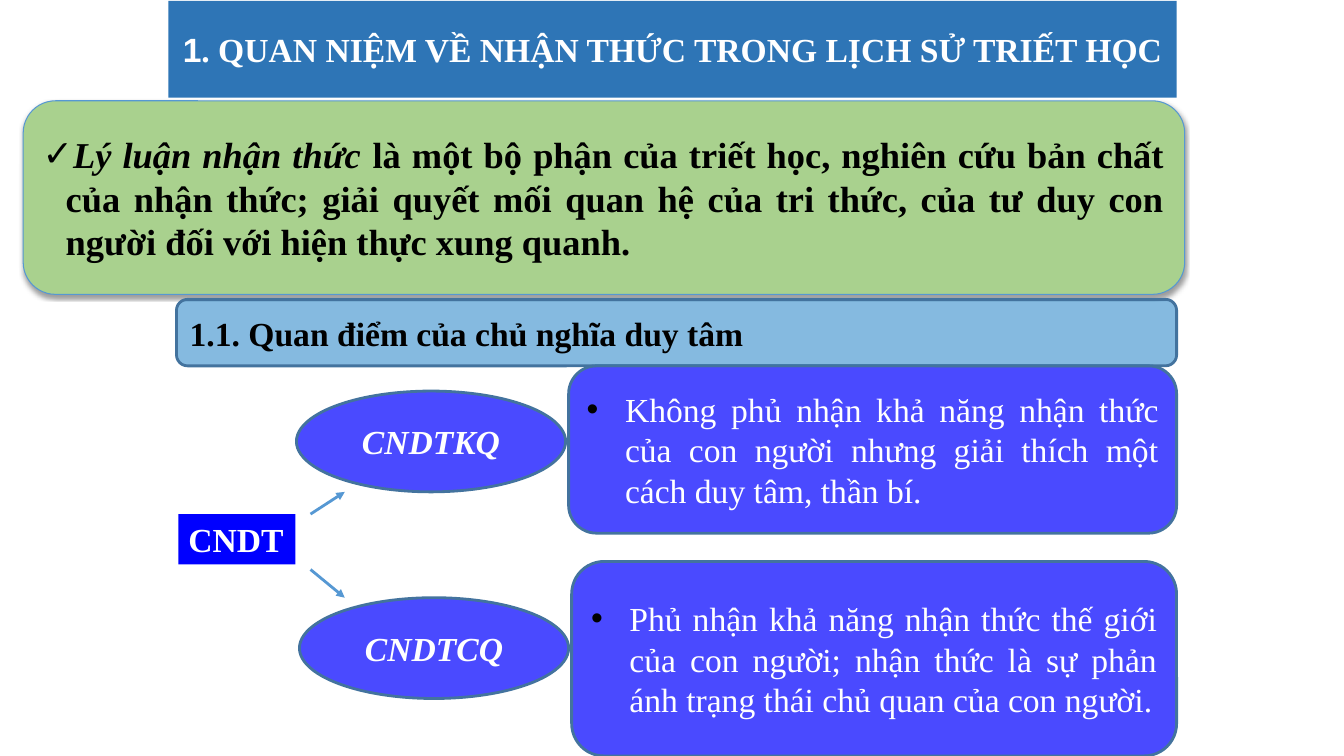
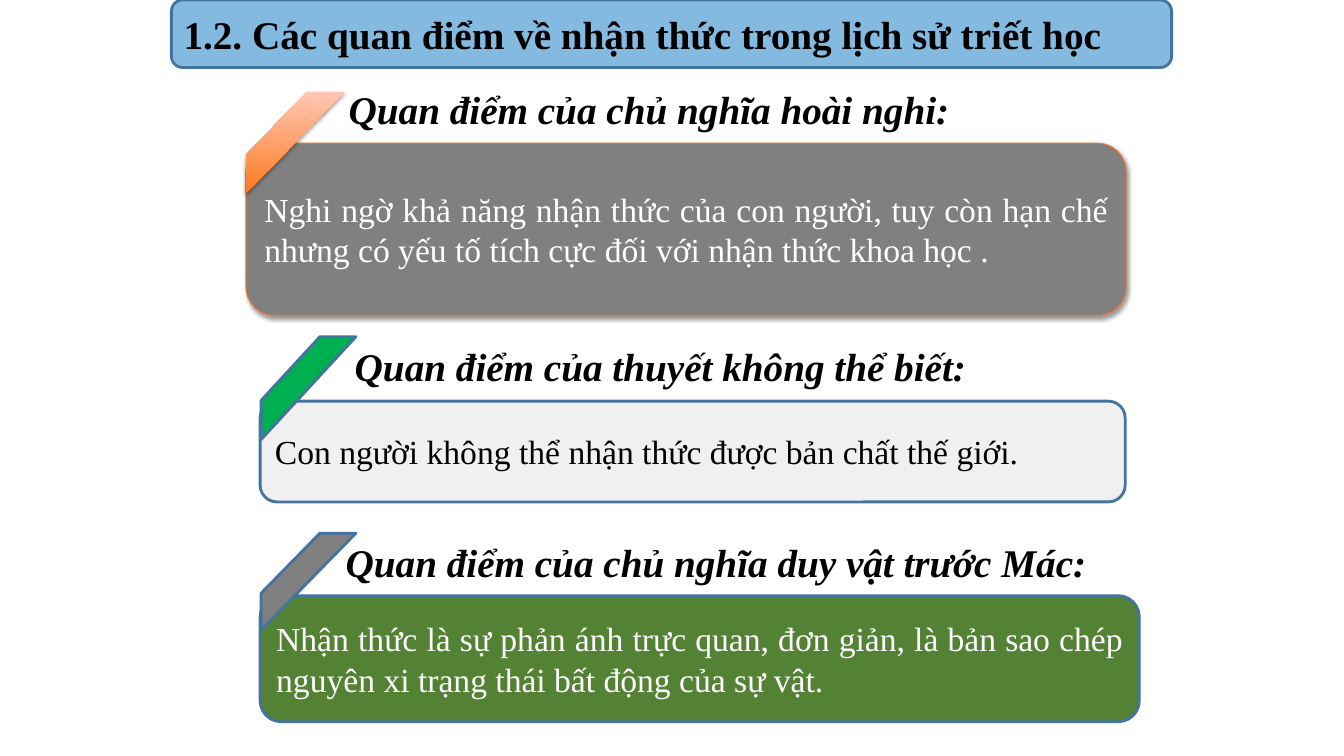
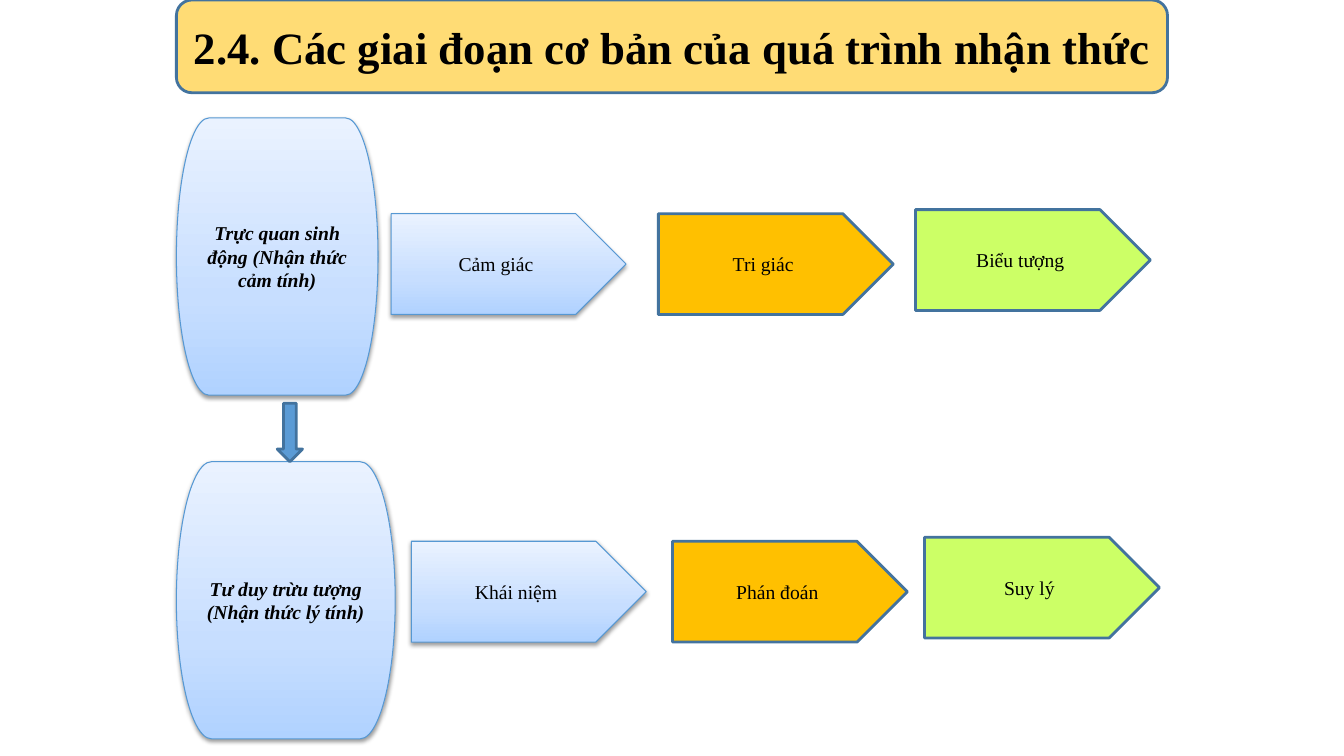
from lxml import etree
from pptx import Presentation
from pptx.dml.color import RGBColor
from pptx.enum.shapes import MSO_CONNECTOR, MSO_SHAPE
from pptx.enum.text import MSO_ANCHOR, MSO_AUTO_SIZE, PP_ALIGN
from pptx.oxml.ns import qn
from pptx.util import Inches, Pt

RECTANGLE = MSO_SHAPE.RECTANGLE
ROUNDED = MSO_SHAPE.ROUNDED_RECTANGLE
ELLIPSE = MSO_SHAPE.OVAL
STRIPE = MSO_SHAPE.DIAGONAL_STRIPE
TERMINATOR = MSO_SHAPE.FLOWCHART_TERMINATOR
PENTAGON = MSO_SHAPE.PENTAGON
DOWN_ARROW = MSO_SHAPE.DOWN_ARROW
STRAIGHT = MSO_CONNECTOR.STRAIGHT
MIDDLE = MSO_ANCHOR.MIDDLE
NO_AUTOFIT = MSO_AUTO_SIZE.NONE
LEFT, CENTER, JUSTIFY = PP_ALIGN.LEFT, PP_ALIGN.CENTER, PP_ALIGN.JUSTIFY

BLACK = RGBColor(0x00, 0x00, 0x00)
WHITE = RGBColor(0xFF, 0xFF, 0xFF)
BLUE = RGBColor(0x00, 0x00, 0xFF)
BANNER_BLUE = RGBColor(0x2E, 0x75, 0xB6)
SKY = RGBColor(0x00, 0x70, 0xC0)
SAND = RGBColor(0xFF, 0xD9, 0x66)
OUTLINE = RGBColor(0x43, 0x73, 0x9E)
THIN_BLUE = RGBColor(0x56, 0x98, 0xD3)
ARROW_BLUE = RGBColor(0x5B, 0x9B, 0xD5)
LIGHT_GREEN = RGBColor(0xA9, 0xD1, 0x8E)
DARK_GREEN = RGBColor(0x54, 0x82, 0x35)
GREEN = RGBColor(0x00, 0xB0, 0x50)
LIME = RGBColor(0xCC, 0xFF, 0x66)
GRAY = RGBColor(0x80, 0x80, 0x80)
PALE_GRAY = RGBColor(0xF1, 0xF0, 0xF0)
ORANGE = RGBColor(0xEC, 0x79, 0x2B)
AMBER = RGBColor(0xFF, 0xC0, 0x00)
BLUE_FADE = (
    (0, RGBColor(0xB0, 0xD2, 0xFF)),
    (35, RGBColor(0xC7, 0xDE, 0xFF)),
    (100, RGBColor(0xEA, 0xF2, 0xFF)),
)
ORANGE_FADE = (
    (0, RGBColor(0xFF, 0x7A, 0x1F)),
    (100, RGBColor(0xFF, 0xC7, 0xB6)),
)

FRAME = (OUTLINE, 2)
THIN_FRAME = (THIN_BLUE, 0.75)


def add_child(parent, tag, **attributes):
    child = etree.SubElement(parent, qn(tag))
    for name, value in attributes.items():
        child.set(name, str(value))
    return child


class Deck:
    font = "Times New Roman"

    def __init__(self):
        self.presentation = Presentation()
        self.presentation.slide_width = Inches(13.33)
        self.presentation.slide_height = Inches(7.5)
        self.slide = None

    def new_slide(self):
        layout = self.presentation.slide_layouts[5]
        self.slide = self.presentation.slides.add_slide(layout)

    def set_text(self, frame, text, size, color=BLACK, bold=False, italic=False,
                 align=CENTER, before=0, bullet=None, hang=0):
        frame.word_wrap = True
        frame.vertical_anchor = MIDDLE
        paragraph = frame.paragraphs[0]
        paragraph.alignment = align
        paragraph.space_before = Pt(before)
        font = paragraph.font
        font.name, font.size, font.color.rgb = self.font, Pt(size), color
        font.bold, font.italic = bold, italic
        paragraph.add_run().text = text
        if bullet:
            properties = paragraph._p.get_or_add_pPr()
            properties.set("marL", str(Inches(hang)))
            properties.set("indent", str(-Inches(hang)))
            marks = etree.Element(qn("a:marks"))
            add_child(add_child(marks, "a:buClr"), "a:srgbClr", val=BLACK)
            add_child(marks, "a:buFont", typeface="Arial")
            add_child(marks, "a:buChar", char=bullet)
            default_font = properties.find(qn("a:defRPr"))
            for mark in list(marks):
                default_font.addprevious(mark)
        return paragraph

    def paint(self, shape, fill, alpha=100):
        if isinstance(fill, RGBColor):
            shape.fill.solid()
            shape.fill.fore_color.rgb = fill
            if alpha < 100:
                color = shape._element.spPr.find(qn("a:solidFill"))[0]
                add_child(color, "a:alpha", val=alpha * 1000)
        else:
            shape.fill.gradient()
            shape.fill.gradient_angle = 90
            stops = shape._element.spPr.find(".//" + qn("a:gsLst"))
            for stop in list(stops):
                stops.remove(stop)
            for position, color in fill:
                stop = add_child(stops, "a:gs", pos=position * 1000)
                add_child(stop, "a:srgbClr", val=color)

    def shape(self, kind, box, fill, line=FRAME, alpha=100, shadow=False,
              text=None, **style):
        shape = self.slide.shapes.add_shape(kind, *map(Inches, box))
        self.paint(shape, fill, alpha)
        if line:
            shape.line.color.rgb, shape.line.width = line[0], Pt(line[1])
        else:
            shape.line.fill.background()
        shape.shadow.inherit = False
        if shadow:
            effects = shape._element.spPr.find(qn("a:effectLst"))
            outer = add_child(effects, "a:outerShdw", blurRad=Pt(3.1),
                              dist=Pt(1.6), dir=5400000, rotWithShape=0)
            color = add_child(outer, "a:srgbClr", val=BLACK)
            add_child(color, "a:alpha", val=38000)
        if text:
            self.set_text(shape.text_frame, text, **style)
        return shape

    def title(self, text, box, fill, size, kind=ROUNDED, line=FRAME, alpha=100,
              **style):
        band = self.shape(kind, box, fill, line, alpha)
        title = self.slide.shapes.title
        title.left, title.top, title.width, title.height = map(Inches, box)
        frame = title.text_frame
        frame.auto_size = NO_AUTOFIT
        frame.margin_left = frame.margin_right = Inches(0.12)
        band._element.addnext(title._element)
        return self.set_text(frame, text, size, bold=True, **style)

    def text(self, box, text, size, **style):
        label = self.slide.shapes.add_textbox(*map(Inches, box))
        self.set_text(label.text_frame, text, size, **style)
        return label

    def stripe(self, box, fill, line=FRAME, shadow=False):
        stripe = self.shape(STRIPE, box, fill, line, shadow=shadow)
        stripe.adjustments[0] = 0.62

    def arrow(self, start, end):
        arrow = self.slide.shapes.add_connector(
            STRAIGHT, *map(Inches, start + end))
        arrow.line.color.rgb, arrow.line.width = THIN_BLUE, Pt(2)
        properties = arrow._element.spPr
        add_child(properties.find(qn("a:ln")), "a:tailEnd", type="triangle")
        add_child(properties, "a:effectLst")


def build_history(deck):
    deck.new_slide()
    heading = deck.title("1", (1.67, 0.01, 10, 0.96), BANNER_BLUE, 24,
                         RECTANGLE, None, color=WHITE)
    heading.runs[0].font.name = "Arial"
    heading.add_run().text = ". QUAN NIỆM VỀ NHẬN THỨC TRONG LỊCH SỬ TRIẾT HỌC"

    definition = deck.shape(
        ROUNDED, (0.23, 1, 11.52, 1.92), LIGHT_GREEN, THIN_FRAME, shadow=True,
        text="Lý luận nhận thức ", size=26, bold=True, align=JUSTIFY,
        bullet="✓", hang=0.23)
    sentence = definition.text_frame.paragraphs[0]
    sentence.runs[0].font.italic = True
    sentence.add_run().text = (
        "là một bộ phận của triết học, nghiên cứu bản chất của nhận thức; "
        "giải quyết mối quan hệ của tri thức, của tư duy con người đối với "
        "hiện thực xung quanh.")

    branches = (
        ("CNDTKQ", (2.94, 3.88, 2.67, 1), (5.64, 3.63, 6.03, 1.66),
         "Không phủ nhận khả năng nhận thức của con người nhưng giải thích "
         "một cách duy tâm, thần bí.", (3.08, 5.1), (3.42, 4.88)),
        ("CNDTCQ", (2.97, 5.93, 2.67, 1), (5.67, 5.57, 6, 1.93),
         "Phủ nhận khả năng nhận thức thế giới của con người; nhận thức là "
         "sự phản ánh trạng thái chủ quan của con người.",
         (3.08, 5.65), (3.42, 5.93)),
    )
    for name, name_box, view_box, view, start, end in branches:
        deck.shape(ELLIPSE, name_box, BLUE, alpha=71, text=name, size=24,
                   color=WHITE, bold=True, italic=True)
        deck.shape(ROUNDED, view_box, BLUE, alpha=71, text=view, size=24,
                   color=WHITE, align=JUSTIFY, before=5, bullet="•", hang=0.38)
        deck.arrow(start, end)

    idealism = deck.text((1.77, 5.1, 1.16, 0.5), "CNDT", 24, color=WHITE,
                         bold=True, align=LEFT)
    idealism.text_frame.word_wrap = False
    deck.paint(idealism, BLUE)
    deck.shape(ROUNDED, (1.75, 2.97, 9.92, 0.66), SKY, alpha=48,
               text="1.1. Quan điểm của chủ nghĩa duy tâm", size=24, bold=True,
               align=JUSTIFY, before=5)


def build_views(deck):
    deck.new_slide()
    deck.title("1.2. Các quan điểm về nhận thức trong lịch sử triết học",
               (1.7, 0, 9.92, 0.67), SKY, 28, alpha=48, align=JUSTIFY, before=5)
    views = (
        ("Quan điểm của chủ nghĩa hoài nghi:", (3.36, 0.79, 7.17, 0.57),
         "Nghi ngờ khả năng nhận thức của con người, tuy còn hạn chế nhưng "
         "có yếu tố tích cực đối với nhận thức khoa học .",
         (2.44, 1.42, 8.73, 1.71), GRAY, WHITE, (ORANGE, 0.75),
         (2.44, 0.91, 0.98, 1.01), ORANGE_FADE, None, True),
        ("Quan điểm của thuyết không thể biết:", (3.42, 3.34, 6.83, 0.57),
         "Con người không thể nhận thức được bản chất thế giới.",
         (2.58, 3.98, 8.58, 1), PALE_GRAY, BLACK, FRAME,
         (2.59, 3.34, 0.94, 1.02), GREEN, FRAME, False),
        ("Quan điểm của chủ nghĩa duy vật trước Mác:", (3.33, 5.29, 7.7, 0.57),
         "Nhận thức là sự phản ánh trực quan, đơn giản, là bản sao chép "
         "nguyên xi trạng thái bất động của sự vật.",
         (2.58, 5.91, 8.72, 1.25), DARK_GREEN, WHITE, FRAME,
         (2.59, 5.29, 0.94, 0.96), GRAY, FRAME, False),
    )
    for (name, name_box, view, view_box, fill, ink, frame,
         stripe_box, stripe_fill, stripe_frame, shadow) in views:
        deck.shape(ROUNDED, view_box, fill, frame, shadow=shadow, text=view,
                   size=24, color=ink, align=JUSTIFY, before=5)
        deck.stripe(stripe_box, stripe_fill, stripe_frame, shadow)
        deck.text(name_box, name, 28, bold=True, italic=True, align=LEFT)


def build_stages(deck):
    deck.new_slide()
    deck.title("2.4. Các giai đoạn cơ bản của quá trình nhận thức",
               (1.75, 0, 9.83, 0.92), SAND, 32, alpha=90)
    stages = (
        ("Trực quan sinh động (Nhận thức cảm tính)", (1.75, 1.17, 2, 2.75),
         (("Cảm giác", 3.88, 2.12), ("Tri giác", 6.53, 2.12),
          ("Biểu tượng", 9.08, 2.08))),
        ("Tư duy trừu tượng (Nhận thức lý tính)", (1.75, 4.58, 2.17, 2.75),
         (("Khái niệm", 4.08, 5.37), ("Phán đoán", 6.67, 5.37),
          ("Suy lý", 9.17, 5.33))),
    )
    step_styles = ((BLUE_FADE, THIN_FRAME, True), (AMBER, FRAME, False),
                   (LIME, FRAME, False))
    for stage, stage_box, steps in stages:
        deck.shape(TERMINATOR, stage_box, BLUE_FADE, THIN_FRAME, shadow=True,
                   text=stage, size=14, bold=True, italic=True)
        for (step, left, top), (fill, line, shadow) in zip(steps, step_styles):
            deck.shape(PENTAGON, (left, top, 2.33, 1), fill, line,
                       shadow=shadow, text=step, size=14)
    deck.shape(DOWN_ARROW, (2.75, 4, 0.25, 0.58), ARROW_BLUE)


def main():
    deck = Deck()
    build_history(deck)
    build_views(deck)
    build_stages(deck)
    deck.presentation.save("out.pptx")


if __name__ == "__main__":
    main()
